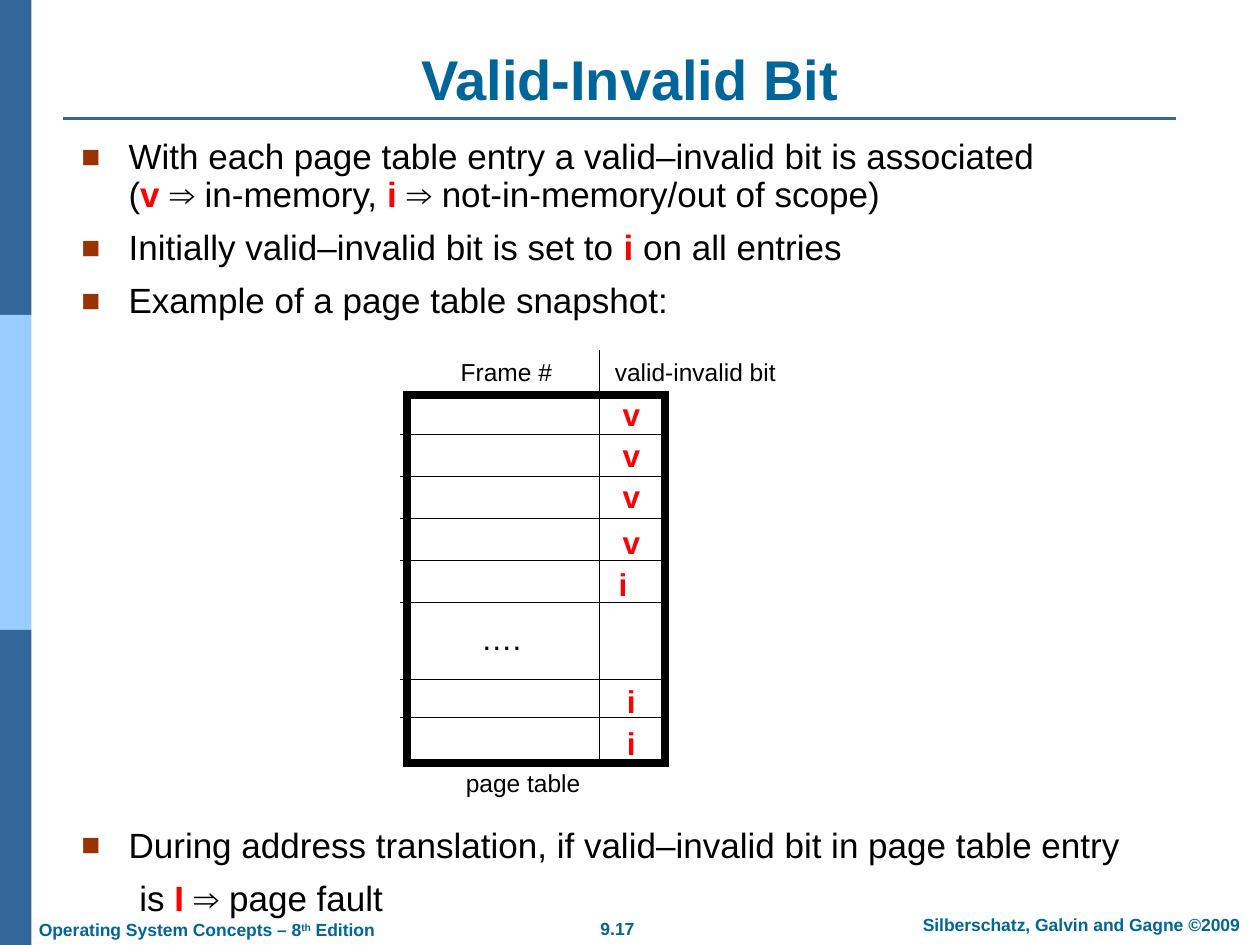
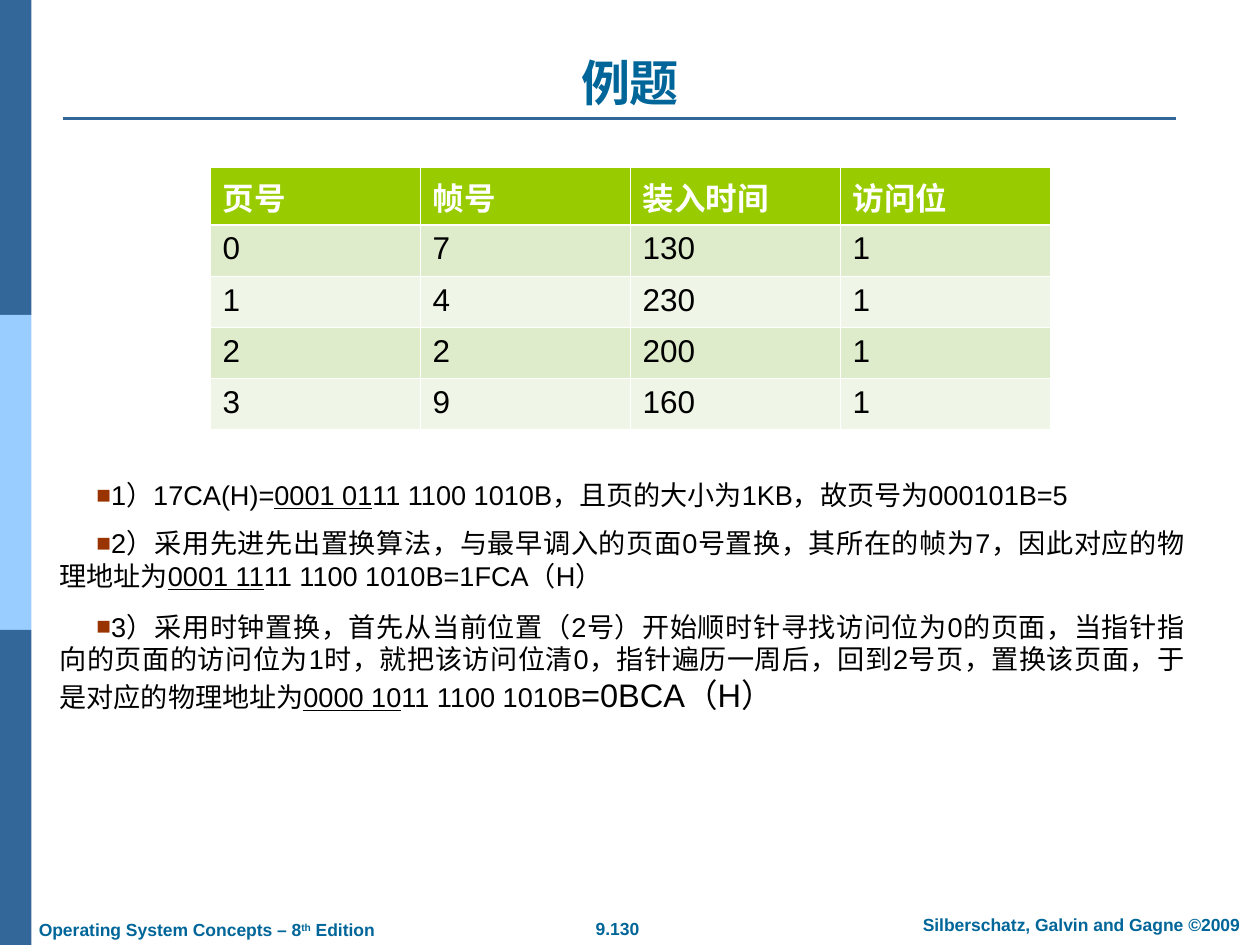
from dataclasses import dataclass
from typing import NamedTuple, Optional

from lxml import etree
from pptx import Presentation
from pptx.dml.color import RGBColor
from pptx.enum import shapes, text
from pptx.oxml import ns
from pptx.util import Pt


@dataclass(frozen=True)
class Theme:
    font: str = "Arial"
    band: str = "336699"
    band_light: str = "99CCFF"
    heading: str = "006699"
    ink: str = "000000"
    paper: str = "FFFFFF"
    accent: str = "FF0000"
    bullet: str = "993300"
    table_head: str = "99CC00"
    table_rows: tuple[str, str] = ("DEECCB", "EFF6E7")
    title_size: float = 32
    title_size_cjk: float = 28
    body_size: float = 20
    solution_size: float = 15.5
    result_size: float = 18.6
    cell_size: float = 18
    label_size: float = 14
    footer_size: float = 10


THEME = Theme()
LEFT, CENTER, JUSTIFY = text.PP_ALIGN.LEFT, text.PP_ALIGN.CENTER, text.PP_ALIGN.JUSTIFY


class Box(NamedTuple):
    """Left, top, width and height in points."""
    left: float
    top: float
    width: float
    height: float


class Span(NamedTuple):
    """Words, with what differs from the rest of their paragraph."""
    words: str
    color: Optional[str] = None
    bold: Optional[bool] = None
    underline: Optional[bool] = None
    size: Optional[float] = None
    raised: bool = False


@dataclass
class Para:
    spans: list[Span]
    size: float
    color: str = THEME.ink
    bold: bool = False
    align: text.PP_ALIGN = LEFT
    before: float = 0
    line: Optional[float] = None
    left: float = 0
    first: float = 0
    bullet: bool = False


class Mark(NamedTuple):
    """A valid-invalid letter and its place."""
    letter: str
    left: float
    top: float


def rgb(color: str) -> RGBColor:
    return RGBColor.from_string(color)


def add_bullet(paragraph) -> None:
    properties = paragraph._p.get_or_add_pPr()
    properties.set("hangingPunct", "0")
    color = etree.SubElement(properties, ns.qn("a:buClr"))
    etree.SubElement(color, ns.qn("a:srgbClr"), val=THEME.bullet)
    etree.SubElement(properties, ns.qn("a:buSzPct"), val="90000")
    etree.SubElement(properties, ns.qn("a:buFont"), typeface=THEME.font)
    etree.SubElement(properties, ns.qn("a:buChar"), char="■")


def write_span(paragraph, span: Span) -> None:
    for number, piece in enumerate(span.words.split("\n")):
        if number:
            paragraph.add_line_break()
        run = paragraph.add_run()
        run.text = piece
        if span.color:
            run.font.color.rgb = rgb(span.color)
        if span.bold is not None:
            run.font.bold = span.bold
        if span.underline:
            run.font.underline = True
        if span.size:
            run.font.size = Pt(span.size)
        if span.raised:
            run._r.get_or_add_rPr().set("baseline", "30000")


def write_para(paragraph, para: Para) -> None:
    if para.bullet:
        add_bullet(paragraph)
    paragraph.alignment = para.align
    if para.before:
        paragraph.space_before = Pt(para.before)
    if para.line:
        paragraph.line_spacing = para.line
    if para.left:
        properties = paragraph._p.get_or_add_pPr()
        properties.set("marL", str(Pt(para.left)))
        properties.set("indent", str(Pt(para.first)))
    font = paragraph.font
    font.name, font.size, font.bold = THEME.font, Pt(para.size), para.bold
    font.color.rgb = rgb(para.color)
    for span in para.spans:
        write_span(paragraph, span)


def add_text(slide, box: Box, paras: list[Para], wrap: bool = True,
             anchor=text.MSO_ANCHOR.TOP) -> None:
    frame = slide.shapes.add_textbox(*map(Pt, box)).text_frame
    frame.word_wrap = wrap
    frame.vertical_anchor = anchor
    if not wrap:
        frame.auto_size = text.MSO_AUTO_SIZE.SHAPE_TO_FIT_TEXT
    for number, para in enumerate(paras):
        write_para(frame.add_paragraph() if number else frame.paragraphs[0], para)


def add_label(slide, box: Box, words: str, size: float,
              color: str = THEME.ink, bold: bool = False) -> None:
    para = Para([Span(words)], size, color, bold, CENTER)
    add_text(slide, box, [para], wrap=False, anchor=text.MSO_ANCHOR.MIDDLE)


def add_rect(slide, box: Box, fill: str, border: Optional[str] = None, width: float = 0) -> None:
    rect = slide.shapes.add_shape(shapes.MSO_SHAPE.RECTANGLE, *map(Pt, box))
    rect.shadow.inherit = False
    rect.fill.solid()
    rect.fill.fore_color.rgb = rgb(fill)
    if border:
        rect.line.color.rgb = rgb(border)
        rect.line.width = Pt(width)
        outline = rect._element.spPr.find(ns.qn("a:ln"))
        etree.SubElement(outline, ns.qn("a:miter"), lim="800000")
    else:
        rect.line.fill.background()


def add_line(slide, x1: float, y1: float, x2: float, y2: float,
             color: str = THEME.ink, width: float = 0.75) -> None:
    line = slide.shapes.add_connector(
        shapes.MSO_CONNECTOR.STRAIGHT, *map(Pt, (x1, y1, x2, y2)))
    line.line.color.rgb = rgb(color)
    line.line.width = Pt(width)
    etree.SubElement(line._element.spPr, ns.qn("a:effectLst"))


def add_base_slide(deck, title: str, title_size: float, page: str):
    """Add a slide with the side bands, title, rule and footers."""
    slide = deck.slides.add_slide(deck.slide_layouts[6])
    for row, color in enumerate((THEME.band, THEME.band_light, THEME.band)):
        add_rect(slide, Box(0, 180 * row, 18, 180), color)
    add_line(slide, 36, 67.7, 671.8, 67.7, THEME.band, 1.5)

    def heading(spans: list[Span], size: float, align: text.PP_ALIGN) -> list[Para]:
        return [Para(spans, size, THEME.heading, True, align)]

    size = THEME.footer_size
    add_text(slide, Box(317.5, 520.9, 70.6, 19.4),
             heading([Span(page)], size, CENTER), wrap=False)
    add_text(slide, Box(511, 518.7, 213.8, 19.4),
             heading([Span("Silberschatz, Galvin and Gagne ©2009")], size, CENTER))
    add_text(slide, Box(15.1, 521.6, 208, 19.4),
             heading([Span("Operating System Concepts – 8"), Span("th", raised=True),
                      Span(" Edition")], size, LEFT), wrap=False)
    add_text(slide, Box(36, 21.9, 648, 45.4),
             heading([Span(title)], title_size, CENTER), anchor=text.MSO_ANCHOR.BOTTOM)
    return slide


def add_page_table(slide) -> None:
    add_rect(slide, Box(232.6, 225.8, 147.6, 210.2), THEME.paper, THEME.ink, 4.5)
    for y in [248.4 + 24 * row for row in range(5)] + [388.1, 410.2]:
        add_line(slide, 228.4, y, 378.7, y)
    add_line(slide, 342.7, 200.2, 342.7, 434.2)
    marks = [Mark("v", 348.5, top) for top in (222, 245.5, 269, 295.2)]
    marks += [Mark("i", 346.3, 319), Mark("i", 351.1, 385.9), Mark("i", 351.1, 410.4)]
    widths = {"v": 24.5, "i": 19.4}
    for mark in marks:
        add_label(slide, Box(mark.left, mark.top, widths[mark.letter], 28.8),
                  mark.letter, THEME.cell_size, THEME.accent, True)
    add_label(slide, Box(267.8, 349.9, 37.4, 28.8), "….", THEME.cell_size)
    for words, left, top, width in (("Frame #", 254.4, 200.2, 70),
                                    ("valid-invalid bit", 344, 200.2, 106.6),
                                    ("page table", 259, 434.9, 79.9)):
        add_label(slide, Box(left, top, width, 24.5), words, THEME.label_size)


def add_valid_bit_slide(deck) -> None:
    slide = add_base_slide(deck, "Valid-Invalid Bit", THEME.title_size, "9.17")

    def point(spans: list[Span], before: float = 8.8) -> Para:
        return Para(spans, THEME.body_size, before=before, line=0.9,
                    left=27, first=-27, bullet=True)

    def red(words: str) -> Span:
        return Span(words, THEME.accent, True)

    table_gap = 289.7
    add_text(slide, Box(39.4, 76.1, 658.1, 475.2), [
        point([Span("With each page table entry a valid–invalid bit is associated\n("),
               red("v "), Span("⇒ in-memory, "), red("i "),
               Span("⇒ not-in-memory/out of scope)")], before=0),
        point([Span("Initially valid–invalid bit is set to"), red(" i "),
               Span("on all entries")]),
        point([Span("Example of a page table snapshot:")]),
        point([Span("During address translation, if valid–invalid bit in page table entry")],
              before=table_gap),
        Para([Span("is"), red(" I "), Span("⇒ page fault")], THEME.body_size,
             before=8.8, line=0.9, left=33.2),
    ])
    add_page_table(slide)


def set_border(cell, side: str, width: float) -> None:
    border = etree.Element(ns.qn(f"a:{side}"), w=str(Pt(width)))
    fill = etree.SubElement(border, ns.qn("a:solidFill"))
    etree.SubElement(fill, ns.qn("a:srgbClr"), val=THEME.paper)
    cell._tc.get_or_add_tcPr().append(border)


def add_frame_table(slide, rows: list[tuple[str, ...]]) -> None:
    table = slide.shapes.add_table(
        len(rows), len(rows[0]), *map(Pt, (120, 95.8, 480, 146))).table
    table.rows[0].height = Pt(32.8)
    for r, row in enumerate(rows):
        head = r == 0
        for c, words in enumerate(row):
            cell = table.cell(r, c)
            for side, width in (("lnL", 0.45), ("lnR", 0.45),
                                ("lnT", 1.47 if r == 1 else 0.45),
                                ("lnB", 1.47 if head else 0.45)):
                set_border(cell, side, width)
            cell.fill.solid()
            cell.fill.fore_color.rgb = rgb(
                THEME.table_head if head else THEME.table_rows[(r - 1) % 2])
            write_para(cell.text_frame.paragraphs[0],
                       Para([Span(words)], THEME.cell_size,
                            THEME.paper if head else THEME.ink, head))


def add_example_slide(deck) -> None:
    slide = add_base_slide(deck, "例题", THEME.title_size_cjk, "9.130")

    def step(before: float, *spans: Span) -> Para:
        return Para(list(spans), THEME.solution_size, align=JUSTIFY, before=before,
                    left=27, first=21, bullet=True)

    def page_bits(words: str) -> Span:
        return Span(words, underline=True)

    add_text(slide, Box(0, 270, 684, 163.4), [
        step(0, Span("1）17CA(H)="), page_bits("0001 01"),
             Span("11 1100 1010B，且页的大小为1KB，故页号为000101B=5")),
        step(8.8, Span("2）采用先进先出置换算法，与最早调入的页面0号置换，"
                       "其所在的帧为7，因此对应的物理地址为"),
             page_bits("0001 11"), Span("11 1100 1010B=1FCA（H）")),
        step(10.5, Span("3）采用时钟置换，首先从当前位置（2号）开始顺时针寻找访问位为0的页面，"
                        "当指针指向的页面的访问位为1时，就把该访问位清0，指针遍历一周后，"
                        "回到2号页，置换该页面，于是对应的物理地址为"),
             page_bits("0000 10"), Span("11 1100 1010B"),
             Span("=0BCA（H）", size=THEME.result_size)),
    ])
    add_frame_table(slide, [
        ("页号", "帧号", "装入时间", "访问位"),
        ("0", "7", "130", "1"),
        ("1", "4", "230", "1"),
        ("2", "2", "200", "1"),
        ("3", "9", "160", "1"),
    ])


def main() -> None:
    deck = Presentation()
    deck.slide_width, deck.slide_height = Pt(720), Pt(540)
    add_valid_bit_slide(deck)
    add_example_slide(deck)
    deck.save("out.pptx")


if __name__ == "__main__":
    main()
